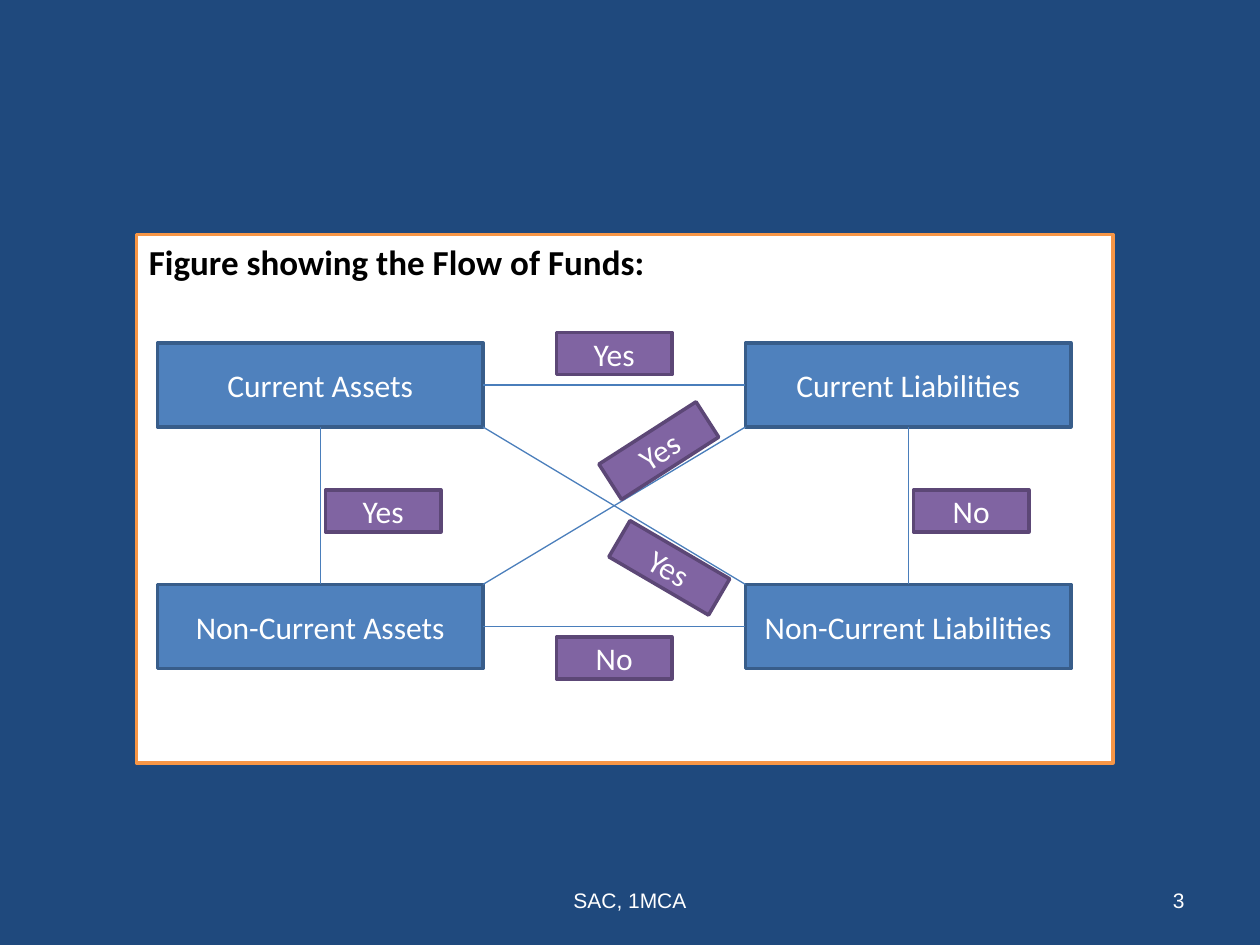
import pptx
import pptx.dml.color
import pptx.enum.shapes
import pptx.enum.text
import pptx.oxml.ns
import pptx.util
from lxml import etree

Pt = pptx.util.Pt
ALIGN = pptx.enum.text.PP_ALIGN
ANCHOR = pptx.enum.text.MSO_ANCHOR
TOP, BOTTOM, LEFT, RIGHT = 0, 2, 1, 3  # connection sites of a rectangle

COLORS = {
    "background": "1F497D",
    "panel": "FFFFFF",
    "panel_edge": "F79646",
    "node": "4F81BD",
    "node_edge": "385D8A",
    "label": "8064A2",
    "label_edge": "5C4776",
    "flow": "4A7EBB",
    "dark": "000000",
    "light": "FFFFFF",
}


def color(name):
    return pptx.dml.color.RGBColor.from_string(COLORS[name])


class FlowSlide:
    body_font = "Calibri"
    footer_font = "Arial"
    node_size = (186, 48)
    label_size = (66, 24)

    def __init__(self, page):
        self.page = page
        page.background.fill.solid()
        page.background.fill.fore_color.rgb = color("background")

    def set_text(self, shape, text, size, font, ink="light",
                 align=ALIGN.CENTER, anchor=ANCHOR.MIDDLE, bold=False):
        frame = shape.text_frame
        frame.word_wrap = True
        frame.vertical_anchor = anchor
        frame.text = text
        para = frame.paragraphs[0]
        para.alignment = align
        for span in para.runs:
            span.font.name = font
            span.font.size = Pt(size)
            span.font.bold = bold
            span.font.color.rgb = color(ink)

    def box(self, left, top, width, height, fill):
        """Add a rectangle whose edge colour is paired with its fill."""
        shape = self.page.shapes.add_shape(
            pptx.enum.shapes.MSO_SHAPE.RECTANGLE,
            Pt(left), Pt(top), Pt(width), Pt(height))
        shape.shadow.inherit = False
        shape.fill.solid()
        shape.fill.fore_color.rgb = color(fill)
        shape.line.color.rgb = color(fill + "_edge")
        shape.line.width = Pt(2)
        return shape

    def panel(self, left, top, width, height, heading):
        shape = self.box(left, top, width, height, "panel")
        self.set_text(shape, heading, 20, self.body_font, "dark",
                      ALIGN.LEFT, ANCHOR.TOP, bold=True)

    def node(self, left, top, text):
        shape = self.box(left, top, *self.node_size, "node")
        self.set_text(shape, text, 18, self.body_font)
        return shape

    def label(self, left, top, text, rotation=0):
        shape = self.box(left, top, *self.label_size, "label")
        shape.rotation = rotation
        self.set_text(shape, text, 18, self.body_font)

    def line(self, start=(0, 0), end=(0, 0)):
        connector = self.page.shapes.add_connector(
            pptx.enum.shapes.MSO_CONNECTOR.STRAIGHT,
            *(Pt(value) for value in (*start, *end)))
        connector.line.color.rgb = color("flow")
        connector.line.width = Pt(0.75)
        etree.SubElement(connector._element.spPr,
                         pptx.oxml.ns.qn("a:effectLst"))
        return connector

    def link(self, first, first_site, second, second_site):
        connector = self.line()
        connector.begin_connect(first, first_site)
        connector.end_connect(second, second_site)

    def footer(self, left, width, text, align):
        box = self.page.shapes.add_textbox(Pt(left), Pt(500), Pt(width), Pt(29))
        self.set_text(box, text, 12, self.footer_font, align=align)


def main():
    deck = pptx.Presentation()
    deck.slide_width, deck.slide_height = Pt(720), Pt(540)
    slide = FlowSlide(deck.slides.add_slide(deck.slide_layouts[6]))

    slide.panel(78, 134, 558, 302, "Figure showing the Flow of Funds:")
    slide.footer(516, 168, "3", ALIGN.RIGHT)
    slide.footer(246, 228, "SAC, 1MCA", ALIGN.CENTER)

    assets_left, liabilities_left = 90, 426
    current_top, fixed_top = 196, 334
    current_assets = slide.node(assets_left, current_top, "Current Assets")
    fixed_assets = slide.node(assets_left, fixed_top, "Non-Current Assets")
    fixed_liabilities = slide.node(liabilities_left, fixed_top,
                                   "Non-Current Liabilities")
    current_liabilities = slide.node(liabilities_left, current_top,
                                     "Current Liabilities")

    slide.link(current_assets, RIGHT, current_liabilities, LEFT)
    slide.link(current_assets, BOTTOM, fixed_assets, TOP)
    slide.link(fixed_assets, RIGHT, fixed_liabilities, LEFT)
    slide.link(current_liabilities, BOTTOM, fixed_liabilities, TOP)

    # The diagonals run between the inner corners of the nodes.
    node_width, node_height = slide.node_size
    inner_left = assets_left + node_width
    inner_top = current_top + node_height
    slide.line((inner_left, inner_top), (liabilities_left, fixed_top))
    slide.line((liabilities_left, inner_top), (inner_left, fixed_top))

    for left, top, text, rotation in (
        (318, 190, "Yes", 0),
        (318, 364, "No", 0),
        (186, 280, "Yes", 0),
        (522, 280, "No", 0),
        (343.5, 245.5, "Yes", 327.3),
        (349.5, 312.5, "Yes", 30.3),
    ):
        slide.label(left, top, text, rotation)

    deck.save("out.pptx")


if __name__ == "__main__":
    main()
